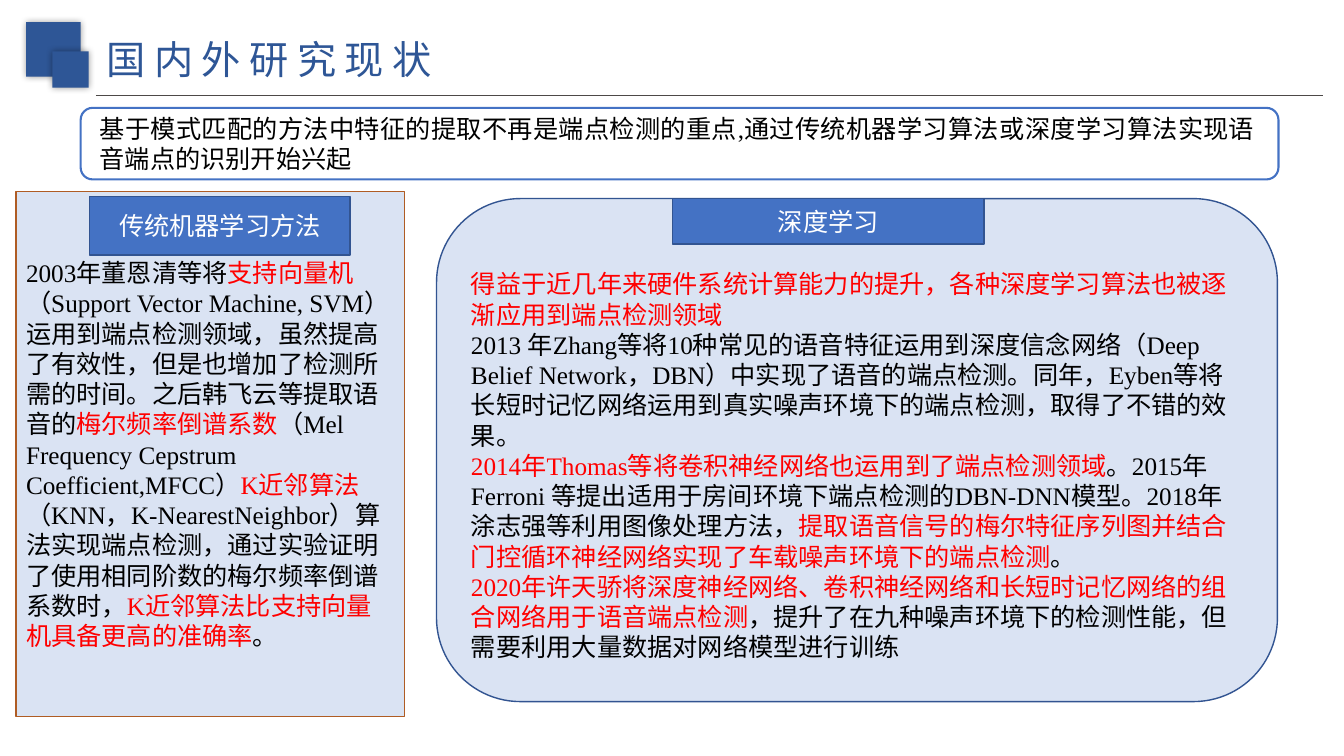
from lxml import etree
from pptx import Presentation
from pptx.dml.color import RGBColor
from pptx.enum.shapes import MSO_CONNECTOR, MSO_SHAPE as Shape
from pptx.enum.text import MSO_ANCHOR as Anchor, PP_ALIGN as Align
from pptx.oxml import parse_xml
from pptx.oxml.ns import nsdecls, qn
from pptx.util import Inches, Pt

NAVY = RGBColor(0x2E, 0x56, 0x96)
BLUE = RGBColor(0x44, 0x72, 0xC4)
EDGE = RGBColor(0x32, 0x54, 0x91)
PALE = RGBColor(0xDA, 0xE3, 0xF3)
RUST = RGBColor(0xAF, 0x5C, 0x24)
GREY = RGBColor(0x4D, 0x49, 0x48)
RED = RGBColor(0xFF, 0, 0)
BLACK = RGBColor(0, 0, 0)
WHITE = RGBColor(0xFF, 0xFF, 0xFF)

SANS = "Noto Sans CJK SC"
SERIF = "Times New Roman"

SUMMARY = ("基于模式匹配的方法中特征的提取不再是端点检测的重点,"
           "通过传统机器学习算法或深度学习算法实现语音端点的识别开始兴起")

# Each paragraph is a list of (text, colour) runs
TRADITIONAL = [[
    ("2003年董恩清等将", BLACK),
    ("支持向量机", RED),
    ("（Support Vector Machine, SVM）运用到端点检测领域，虽然提高了有效性，"
     "但是也增加了检测所需的时间。之后韩飞云等提取语音的", BLACK),
    ("梅尔频率倒谱系数", RED),
    ("（Mel Frequency Cepstrum Coefficient,MFCC）", BLACK),
    ("K近邻算法", RED),
    ("（KNN，K-NearestNeighbor）算法实现端点检测，"
     "通过实验证明了使用相同阶数的梅尔频率倒谱系数时，", BLACK),
    ("K近邻算法比支持向量机具备更高的准确率", RED),
    ("。", BLACK),
]]
DEEP = [
    [("得益于近几年来硬件系统计算能力的提升，各种深度学习算法也被逐渐应用到端点检测领域", RED)],
    [("2013 年Zhang等将10种常见的语音特征运用到深度信念网络（Deep Belief Network，DBN）"
      "中实现了语音的端点检测。同年，Eyben等将长短时记忆网络运用到真实噪声环境下的端点检测，"
      "取得了不错的效果。", BLACK)],
    [("2014年Thomas等将卷积神经网络也运用到了端点检测领域", RED),
     ("。2015年Ferroni 等提出适用于房间环境下端点检测的DBN-DNN模型。"
      "2018年涂志强等利用图像处理方法，", BLACK),
     ("提取语音信号的梅尔特征序列图并结合门控循环神经网络实现了车载噪声环境下的端点检测", RED),
     ("。", BLACK)],
    [("2020年许天骄将深度神经网络、卷积神经网络和长短时记忆网络的组合网络用于语音端点检测", RED),
     ("，提升了在九种噪声环境下的检测性能，但需要利用大量数据对网络模型进行训练", BLACK)],
]


def add_panel(slide, kind, box, fill=None, edge=None, width=1):
    panel = slide.shapes.add_shape(kind, *map(Inches, box))
    panel.shadow.inherit = False
    if fill is None:
        panel.fill.background()
    else:
        panel.fill.solid()
        panel.fill.fore_color.rgb = fill
    if edge is None:
        panel.line.fill.background()
    else:
        panel.line.color.rgb = edge
        panel.line.width = Pt(width)
    return panel


def add_logo_square(slide, left, top, side):
    square = add_panel(slide, Shape.RECTANGLE, (left, top, side, side), NAVY)
    effects = square._element.spPr.find(qn("a:effectLst"))
    effects.append(parse_xml(
        f'<a:outerShdw {nsdecls("a")} blurRad="{Pt(5)}" dist="0" dir="0">'
        '<a:srgbClr val="000000"><a:alpha val="40000"/></a:srgbClr></a:outerShdw>'))


def write(frame, paragraphs, font=SERIF, size=18, align=Align.LEFT, spacing=0, **layout):
    frame.word_wrap = True
    for name, value in layout.items():
        setattr(frame, name, value)
    for index, runs in enumerate(paragraphs):
        paragraph = frame.paragraphs[0] if index == 0 else frame.add_paragraph()
        paragraph.alignment = align
        for text, colour in runs:
            run = paragraph.add_run()
            run.text = text
            for name, value in {"name": font, "size": Pt(size)}.items():
                setattr(run.font, name, value)
            run.font.color.rgb = colour
            properties = run.font._element
            etree.SubElement(properties, qn("a:ea"), typeface=SANS)
            if spacing:
                properties.set("spc", str(spacing * 100))


def add_text(slide, box, text, colour, **style):
    frame = slide.shapes.add_textbox(*map(Inches, box)).text_frame
    write(frame, [[(text, colour)]], align=Align.JUSTIFY, **style)


def add_label(slide, box, text):
    label = add_panel(slide, Shape.RECTANGLE, box, BLUE, EDGE)
    write(label.text_frame, [[(text, WHITE)]], font=SANS, align=Align.CENTER,
          vertical_anchor=Anchor.MIDDLE)


def add_rule(slide, start, end, y):
    rule = slide.shapes.add_connector(
        MSO_CONNECTOR.STRAIGHT, Inches(start), Inches(y), Inches(end), Inches(y))
    rule.line.color.rgb = GREY
    rule.line.width = Pt(0.75)
    etree.SubElement(rule._element.spPr, qn("a:effectLst"))


def main():
    deck = Presentation()
    deck.slide_width, deck.slide_height = Inches(13.33), Inches(7.5)
    slide = deck.slides.add_slide(deck.slide_layouts[6])

    # Heading
    add_logo_square(slide, 0.26, 0.22, 0.54)
    add_logo_square(slide, 0.52, 0.51, 0.36)
    add_text(slide, (0.94, 0.29, 6.21, 0.59), "国内外研究现状", NAVY,
             font=SANS, size=28, spacing=6,
             margin_left=Inches(0.12), margin_top=Inches(0.06))
    add_rule(slide, 0.95, 13.12, 0.95)

    # Summary
    add_panel(slide, Shape.ROUNDED_RECTANGLE, (0.8, 1.07, 11.88, 0.71), edge=BLUE, width=1.5)
    add_text(slide, (0.89, 1.07, 11.65, 0.71), SUMMARY, BLACK)

    # Two families of methods
    traditional = add_panel(slide, Shape.RECTANGLE, (0.16, 1.9, 3.85, 5.21), PALE, RUST)
    write(traditional.text_frame, TRADITIONAL, vertical_anchor=Anchor.MIDDLE)
    deep = add_panel(slide, Shape.ROUNDED_RECTANGLE, (4.33, 1.97, 8.34, 4.99), PALE, EDGE)
    write(deep.text_frame, DEEP, vertical_anchor=Anchor.MIDDLE, margin_top=Inches(0.35))
    add_label(slide, (0.89, 1.95, 2.58, 0.58), "传统机器学习方法")
    add_label(slide, (6.67, 1.97, 3.09, 0.45), "深度学习")

    deck.save("out.pptx")


if __name__ == "__main__":
    main()
